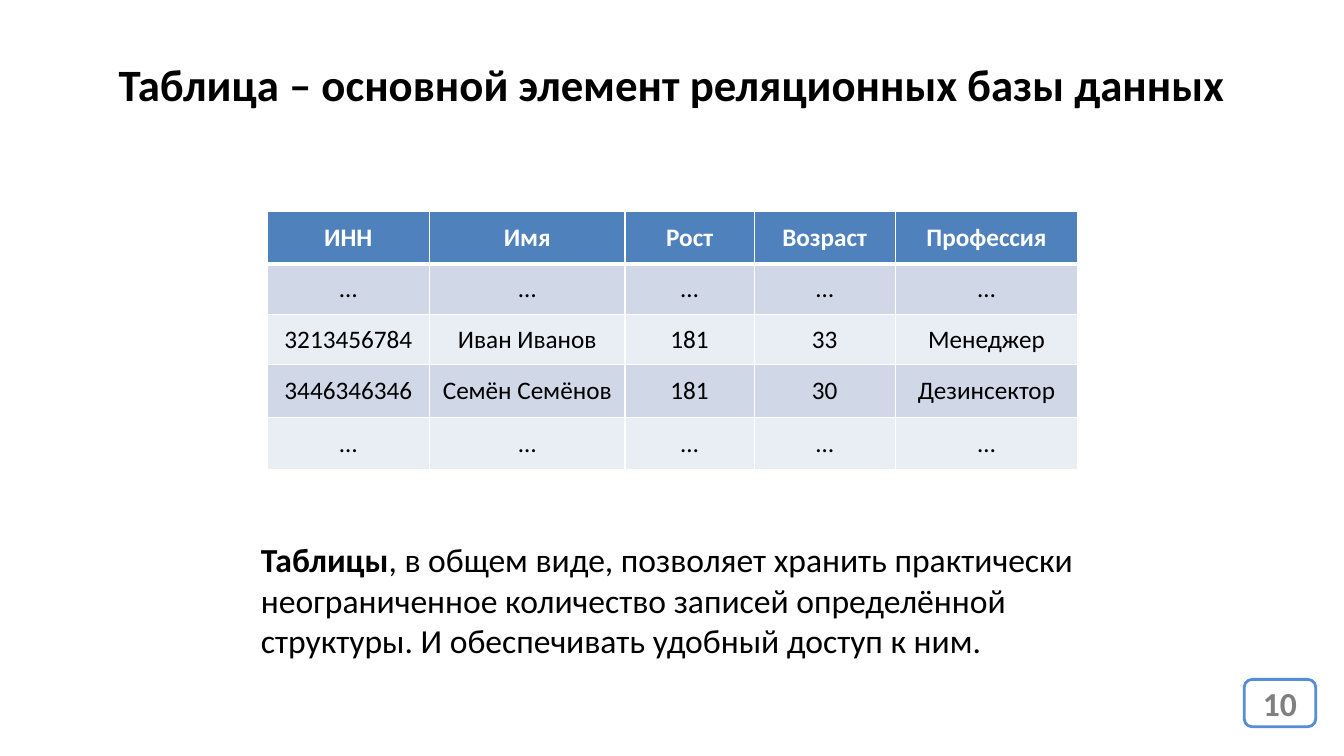
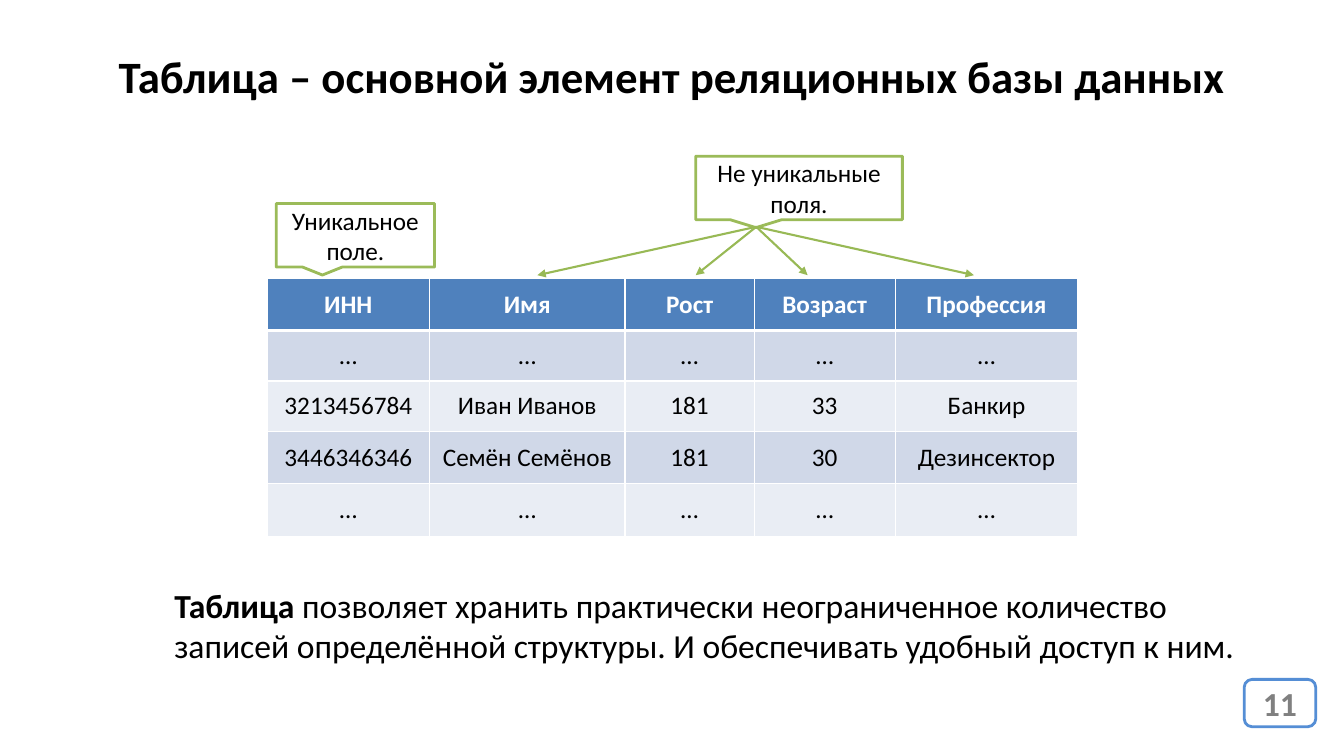
from dataclasses import dataclass

from lxml import etree
from pptx import Presentation, util as u
from pptx.dml.color import RGBColor
from pptx.enum import shapes, text
from pptx.oxml.ns import qn

FONT = "Calibri"
BLACK, WHITE, GRAY = "000000", "FFFFFF", "808080"
HEADER_BLUE, BAND_DARK, BAND_LIGHT = "4F81BD", "D0D8E8", "E9EDF4"
NUMBER_BLUE, CALLOUT_GREEN, ARROW_GREEN = "558ED5", "9BBB59", "98B955"
SLIDE_WIDTH, SLIDE_HEIGHT = 13.33, 7.5
TITLE = "Таблица – основной элемент реляционных базы данных"
FIELDS = ("ИНН", "Имя", "Рост", "Возраст", "Профессия")
GAP_RECORD = ("…",) * len(FIELDS)
COLUMN_WIDTHS = (1.61, 1.94, 1.28, 1.4, 1.81)
ROW_HEIGHTS = (0.52, 0.5, 0.5, 0.52, 0.52)
TABLE_LEFT = 2.65


@dataclass(frozen=True)
class Box:
    left: float
    top: float
    width: float
    height: float

    def lengths(self) -> tuple:
        return tuple(u.Inches(v) for v in (self.left, self.top, self.width, self.height))


@dataclass(frozen=True)
class Callout:
    label: str
    box: Box


@dataclass(frozen=True)
class Arrow:
    start: tuple[float, float]
    end: tuple[float, float]


@dataclass(frozen=True)
class Page:
    number: int
    title_top: float
    table_top: float
    manager: str
    term: str
    statement: str
    statement_box: Box
    callouts: tuple[Callout, ...] = ()
    arrows: tuple[Arrow, ...] = ()


CALLOUT_TIP = (7.5, 2.25)
ARROW_END_Y = 2.73

PAGES = (
    Page(
        10, 0.51, 2.1, "Менеджер", "Таблицы",
        ", в общем виде, позволяет хранить практически неограниченное количество "
        "записей определённой структуры. И обеспечивать удобный доступ к ним.",
        Box(2.49, 5.3, 8.43, 1.31),
    ),
    Page(
        11, 0.43, 2.76, "Банкир", "Таблица",
        " позволяет хранить практически неограниченное количество "
        "записей определённой структуры. И обеспечивать удобный доступ к ним.",
        Box(1.63, 5.75, 11.02, 0.91),
        (
            Callout("Не уникальные поля.", Box(6.9, 1.55, 2.05, 0.63)),
            Callout("Уникальное поле.", Box(2.74, 2.02, 1.57, 0.63)),
        ),
        tuple(Arrow(CALLOUT_TIP, (x, ARROW_END_Y)) for x in (5.33, 6.9, 8.01, 9.66)),
    ),
)


def rgb(value: str) -> RGBColor:
    return RGBColor.from_string(value)


def style_run(run, size: float, color: str, bold: bool = False) -> None:
    run.font.name = FONT
    run.font.size = u.Pt(size)
    run.font.bold = bold
    run.font.color.rgb = rgb(color)


def set_centered(frame, content: str, size: float, color: str, bold: bool = False) -> None:
    frame.text = content
    paragraph = frame.paragraphs[0]
    paragraph.alignment = text.PP_ALIGN.CENTER
    style_run(paragraph.runs[0], size, color, bold)


def add_text_frame(slide, box: Box):
    frame = slide.shapes.add_textbox(*box.lengths()).text_frame
    frame.word_wrap = True
    return frame


def add_outlined(slide, preset, box: Box, line: str, label: str,
                 size: float, color: str, bold: bool = False) -> None:
    shape = slide.shapes.add_shape(preset, *box.lengths())
    shape.shadow.inherit = False
    shape.fill.solid()
    shape.fill.fore_color.rgb = rgb(WHITE)
    shape.line.color.rgb = rgb(line)
    shape.line.width = u.Pt(2)
    shape.text_frame.vertical_anchor = text.MSO_ANCHOR.MIDDLE
    set_centered(shape.text_frame, label, size, color, bold)


def add_cell_borders(cell, top: float, bottom: float) -> None:
    properties = cell._tc.get_or_add_tcPr()
    for side, width in (("L", 1), ("R", 1), ("T", top), ("B", bottom)):
        border = etree.SubElement(properties, qn(f"a:ln{side}"), w=str(u.Pt(width)))
        fill = etree.SubElement(border, qn("a:solidFill"))
        etree.SubElement(fill, qn("a:srgbClr"), val=WHITE)


def add_records(slide, top: float, manager: str) -> None:
    rows = (
        FIELDS,
        GAP_RECORD,
        ("3213456784", "Иван Иванов", "181", "33", manager),
        ("3446346346", "Семён Семёнов", "181", "30", "Дезинсектор"),
        GAP_RECORD,
    )
    box = Box(TABLE_LEFT, top, sum(COLUMN_WIDTHS), sum(ROW_HEIGHTS))
    records = slide.shapes.add_table(len(rows), len(FIELDS), *box.lengths()).table
    for column, width in zip(records.columns, COLUMN_WIDTHS):
        column.width = u.Inches(width)
    for row, height in zip(records.rows, ROW_HEIGHTS):
        row.height = u.Inches(height)
    for r, values in enumerate(rows):
        header = r == 0
        band = HEADER_BLUE if header else (BAND_LIGHT, BAND_DARK)[r % 2]
        for c, value in enumerate(values):
            cell = records.cell(r, c)
            cell.vertical_anchor = text.MSO_ANCHOR.MIDDLE
            set_centered(cell.text_frame, value, 18, WHITE if header else BLACK, header)
            add_cell_borders(cell, 3 if r == 1 else 1, 3 if header else 1)
            cell.fill.solid()
            cell.fill.fore_color.rgb = rgb(band)


def add_statement(slide, page: Page) -> None:
    paragraph = add_text_frame(slide, page.statement_box).paragraphs[0]
    for content, bold in ((page.term, True), (page.statement, False)):
        run = paragraph.add_run()
        run.text = content
        style_run(run, 24, BLACK, bold)


def add_arrow(slide, arrow: Arrow) -> None:
    points = (u.Inches(v) for v in (*arrow.start, *arrow.end))
    connector = slide.shapes.add_connector(shapes.MSO_CONNECTOR.STRAIGHT, *points)
    connector.line.color.rgb = rgb(ARROW_GREEN)
    connector.line.width = u.Pt(1.5)
    etree.SubElement(connector.line._get_or_add_ln(), qn("a:tailEnd"), type="triangle")
    etree.SubElement(connector._element.spPr, qn("a:effectLst"))


def add_page(deck, page: Page) -> None:
    slide = deck.slides.add_slide(deck.slide_layouts[6])
    add_records(slide, page.table_top, page.manager)
    add_statement(slide, page)
    for callout in page.callouts:
        add_outlined(slide, shapes.MSO_SHAPE.RECTANGULAR_CALLOUT, callout.box,
                     CALLOUT_GREEN, callout.label, 18, BLACK)
    for arrow in page.arrows:
        add_arrow(slide, arrow)
    add_outlined(slide, shapes.MSO_SHAPE.ROUNDED_RECTANGLE, Box(12.34, 6.74, 0.71, 0.47),
                 NUMBER_BLUE, str(page.number), 24, GRAY, True)
    title = add_text_frame(slide, Box(0, page.title_top, SLIDE_WIDTH, 0.64))
    set_centered(title, TITLE, 32, BLACK, True)


def main() -> None:
    deck = Presentation()
    deck.slide_width = u.Inches(SLIDE_WIDTH)
    deck.slide_height = u.Inches(SLIDE_HEIGHT)
    for page in PAGES:
        add_page(deck, page)
    deck.save("out.pptx")


if __name__ == "__main__":
    main()
